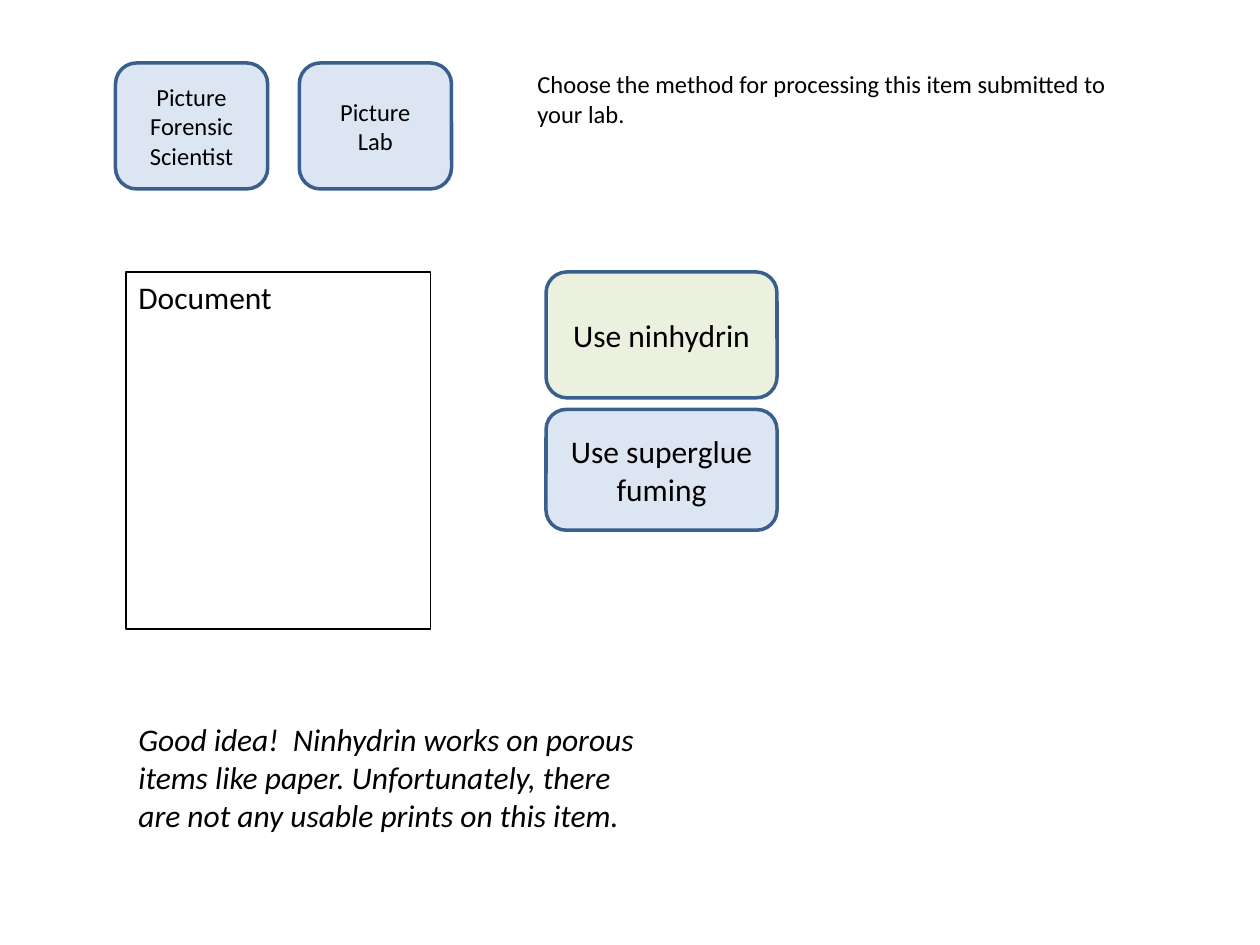
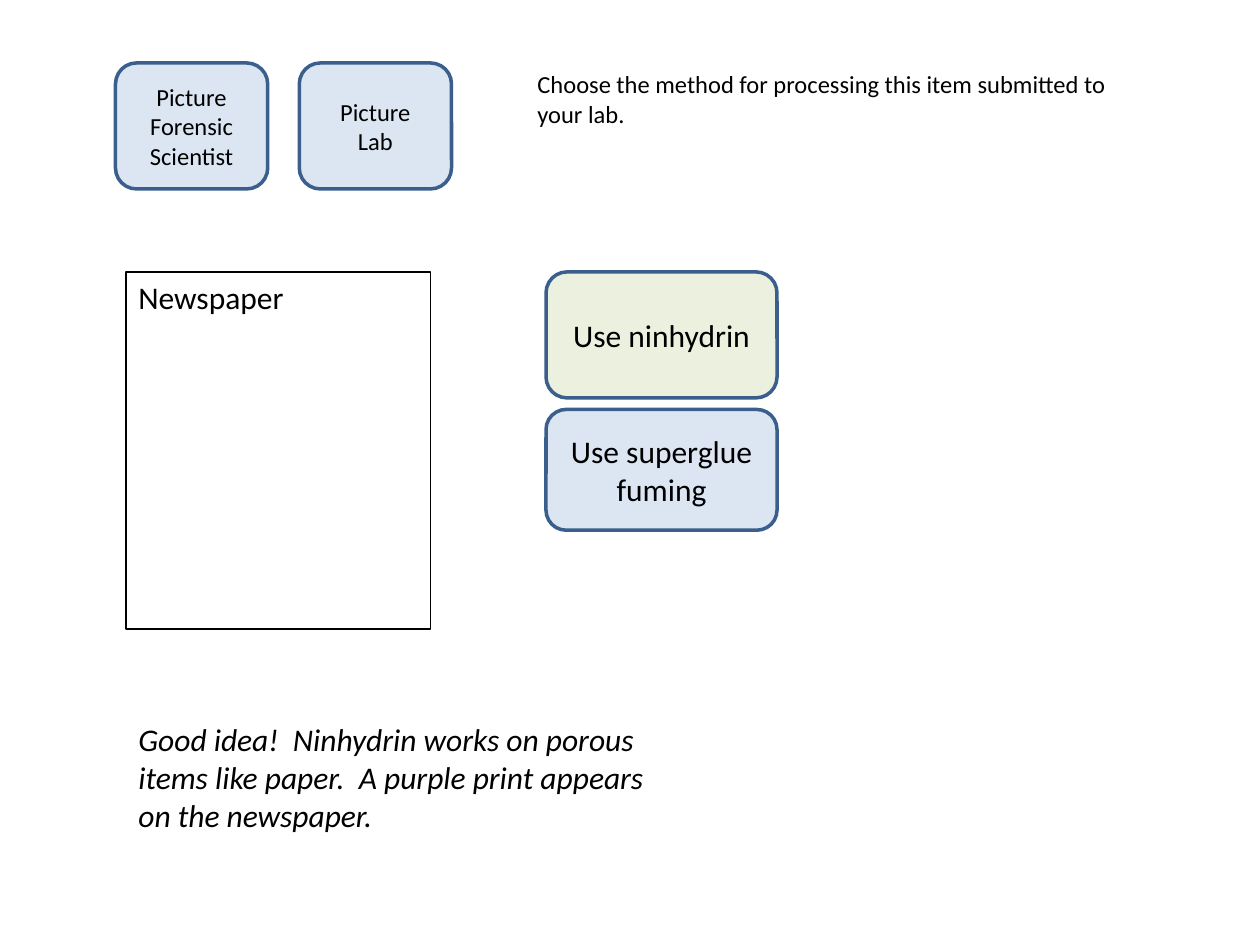
from dataclasses import dataclass

from pptx import Presentation
from pptx import util as u
from pptx.dml.color import RGBColor
from pptx.enum import shapes, text
from pptx.slide import Slide

WIDE, HIGH = u.Inches(10), u.Inches(7.5)
COLS, ROWS = 24, 18
FONT = "Calibri"
SMALL, LARGE = 14, 18
HUES = {
    "ink": "000000",
    "page": "FFFFFF",
    "edge": "3A5F8C",
    "blue": "DCE6F2",
    "green": "EBF1DE",
}


@dataclass(frozen=True)
class Area:
    col: float
    row: float
    cols: float
    rows: float

    def box(self) -> tuple[int, int, int, int]:
        return (
            round(WIDE * self.col / COLS),
            round(HIGH * self.row / ROWS),
            round(WIDE * self.cols / COLS),
            round(HIGH * self.rows / ROWS),
        )


@dataclass(frozen=True)
class Button:
    area: Area
    lines: tuple[str, ...]
    size: int
    fill: str = "blue"


@dataclass(frozen=True)
class Case:
    item: str
    reply: str


TASK = "Choose the method for processing this item submitted to your lab."
TASK_AREA = Area(10, 1.2, 11.6, 1.37)
ITEM_AREA = Area(2.4, 5.18, 5.8, 6.8)
REPLY_AREA = Area(2.4, 13.6, 10.4, 2.42)

BUTTONS = (
    Button(Area(2.2, 1.2, 2.9, 2.4), ("Picture", "Forensic Scientist"), SMALL),
    Button(Area(5.7, 1.2, 2.9, 2.4), ("Picture", "Lab"), SMALL),
    Button(Area(10.4, 5.18, 4.4, 2.4), ("Use ninhydrin",), LARGE, "green"),
    Button(Area(10.4, 7.8, 4.4, 2.3), ("Use superglue fuming",), LARGE),
)

CASES = (
    Case(
        "Document",
        "Good idea!  Ninhydrin works on porous items like paper. "
        "Unfortunately, there are not any usable prints on this item.",
    ),
    Case(
        "Newspaper",
        "Good idea!  Ninhydrin works on porous items like paper.  "
        "A purple print appears on the newspaper.",
    ),
)


def hue(name: str) -> RGBColor:
    return RGBColor.from_string(HUES[name])


def write(shape, lines: tuple[str, ...], size: int, center: bool = False,
          slant: bool = False) -> None:
    frame = shape.text_frame
    frame.word_wrap = True
    frame.vertical_anchor = (
        text.MSO_ANCHOR.MIDDLE if center else text.MSO_ANCHOR.TOP
    )
    for spot, line in enumerate(lines):
        para = frame.add_paragraph() if spot else frame.paragraphs[0]
        para.alignment = text.PP_ALIGN.CENTER if center else text.PP_ALIGN.LEFT
        run = para.add_run()
        run.text = line
        run.font.name = FONT
        run.font.size = u.Pt(size)
        run.font.italic = slant
        run.font.color.rgb = hue("ink")


def panel(slide: Slide, kind: shapes.MSO_SHAPE, area: Area, fill: str,
          edge: str, width: float):
    shape = slide.shapes.add_shape(kind, *area.box())
    shape.shadow.inherit = False
    shape.fill.solid()
    shape.fill.fore_color.rgb = hue(fill)
    shape.line.color.rgb = hue(edge)
    shape.line.width = u.Pt(width)
    return shape


def button(slide: Slide, part: Button) -> None:
    shape = panel(slide, shapes.MSO_SHAPE.ROUNDED_RECTANGLE, part.area,
                  part.fill, "edge", 2)
    write(shape, part.lines, part.size, center=True)


def note(slide: Slide, area: Area, words: str, size: int,
         slant: bool = False) -> None:
    write(slide.shapes.add_textbox(*area.box()), (words,), size, slant=slant)


def build(slide: Slide, case: Case) -> None:
    for part in BUTTONS:
        button(slide, part)
    note(slide, TASK_AREA, TASK, SMALL)
    item = panel(slide, shapes.MSO_SHAPE.RECTANGLE, ITEM_AREA, "page", "ink", 1)
    write(item, (case.item,), LARGE)
    note(slide, REPLY_AREA, case.reply, LARGE, slant=True)


def main() -> None:
    deck = Presentation()
    deck.slide_width, deck.slide_height = WIDE, HIGH
    blank = deck.slide_layouts[6]
    for case in CASES:
        build(deck.slides.add_slide(blank), case)
    deck.save("out.pptx")


if __name__ == "__main__":
    main()
